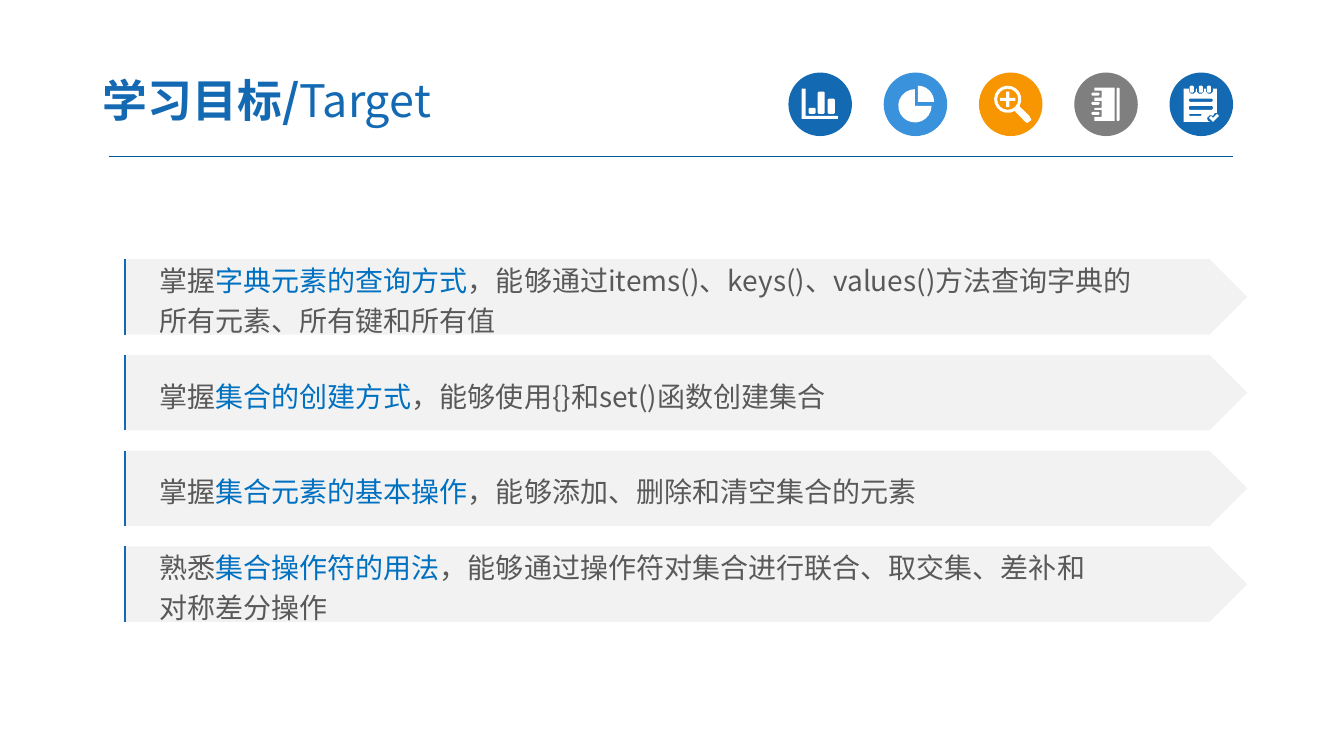
from math import cos, radians, sin

from lxml.etree import SubElement
from pptx import Presentation
from pptx.dml.color import RGBColor
from pptx.enum.shapes import MSO_CONNECTOR as Connector, MSO_SHAPE as Shape
from pptx.enum.text import MSO_ANCHOR as Anchor, MSO_AUTO_SIZE as AutoSize, PP_ALIGN as Align
from pptx.oxml.ns import qn
from pptx.util import Inches, Pt

BLUE = RGBColor(0x13, 0x69, 0xB2)
SKY = RGBColor(0x39, 0x92, 0xDB)
ORANGE = RGBColor(0xF7, 0x96, 0x00)
GREY = RGBColor(0x7F, 0x7F, 0x7F)
RULE = RGBColor(0x00, 0x5B, 0x9E)
PALE = RGBColor(0xF2, 0xF2, 0xF2)
TEXT = RGBColor(0x59, 0x59, 0x59)
ACCENT = RGBColor(0x00, 0x70, 0xC0)
WHITE = RGBColor(0xFF, 0xFF, 0xFF)


def box(x, y, width, height, cut=0.01):
    """Corner points of a rectangle with slightly cut corners."""
    right, bottom = x + width, y + height
    return [(x + cut, y), (right - cut, y), (right, y + cut), (right, bottom - cut),
            (right - cut, bottom), (x + cut, bottom), (x, bottom - cut), (x, y + cut)]


def arc(x, y, radius, start, end, steps=16):
    """Points on a circle around (x, y), clockwise from start to end in degrees."""
    angles = [radians(start + (end - start) * step / steps) for step in range(steps + 1)]
    return [(x + radius * cos(angle), y + radius * sin(angle)) for angle in angles]


# Glyph contours, in inches from the top left of the disc
BAR_CHART = [
    [(0.13, 0.16), (0.17, 0.16), (0.17, 0.43), (0.49, 0.43), (0.49, 0.46), (0.13, 0.46)],
    box(0.2, 0.35, 0.07, 0.06),
    box(0.29, 0.19, 0.07, 0.22),
    box(0.39, 0.26, 0.07, 0.15),
]
PIE_CHART = [
    [(0.34, 0.29), *arc(0.34, 0.29, 0.16, -90, 0, 6)],
    [(0.31, 0.33), *arc(0.31, 0.33, 0.165, 0, 270)],
]
MAGNIFIER = [
    [*arc(0.285, 0.265, 0.135, 59, 391),
     (0.5, 0.43), (0.52, 0.47), (0.48, 0.5), (0.46, 0.49)],
    arc(0.285, 0.265, 0.105, 360, 0),
    [(0.27, 0.19), (0.3, 0.19), (0.3, 0.25), (0.36, 0.25), (0.36, 0.28), (0.3, 0.28),
     (0.3, 0.34), (0.27, 0.34), (0.27, 0.28), (0.21, 0.28), (0.21, 0.25), (0.27, 0.25)],
]
NOTEBOOK_NOTCHES = [
    point for top in (0.37, 0.28, 0.18)
    for point in ((0.2, top + 0.07), (0.27, top + 0.07), (0.27, top), (0.2, top))]
NOTEBOOK = [
    [(0.4, 0.15), (0.4, 0.48), (0.2, 0.48), *NOTEBOOK_NOTCHES, (0.2, 0.15)],
    box(0.42, 0.15, 0.03, 0.33),
    *[box(0.17, top, 0.08, 0.03) for top in (0.2, 0.29, 0.39)],
]
NOTEPAD_NOTCHES = [
    point for left in (0.19, 0.27, 0.36)
    for point in ((left, 0.16), (left, 0.19), (left + 0.02, 0.21),
                  (left + 0.05, 0.21), (left + 0.07, 0.19), (left + 0.07, 0.16))]
NOTEPAD = [
    [(0.14, 0.16), *NOTEPAD_NOTCHES, (0.47, 0.16), (0.47, 0.4), (0.45, 0.4), (0.43, 0.43),
     (0.4, 0.42), (0.37, 0.45), (0.38, 0.48), (0.4, 0.49), (0.14, 0.49)],
    *[box(left, 0.13, 0.04, 0.07) for left in (0.2, 0.29, 0.37)],
    box(0.19, 0.26, 0.24, 0.03),
    box(0.19, 0.33, 0.24, 0.04),
    box(0.19, 0.41, 0.13, 0.02),
    [(0.39, 0.45), (0.41, 0.43), (0.43, 0.45), (0.47, 0.41), (0.49, 0.43), (0.43, 0.49)],
]

ICONS = [(BLUE, BAR_CHART), (SKY, PIE_CHART), (ORANGE, MAGNIFIER),
         (GREY, NOTEBOOK), (BLUE, NOTEPAD)]

# Each goal: lead, highlighted topic, rest, optional second line
GOALS = [
    ("掌握", "字典元素的查询方式", "，能够通过items()、keys()、values()方法查询字典的",
     "所有元素、所有键和所有值"),
    ("掌握", "集合的创建方式", "，能够使用{}和set()函数创建集合", None),
    ("掌握", "集合元素的基本操作", "，能够添加、删除和清空集合的元素", None),
    ("熟悉", "集合操作符的用法", "，能够通过操作符对集合进行联合、取交集、差补和", "对称差分操作"),
]


class SlideBuilder:
    font_name = "Noto Sans CJK SC"

    def __init__(self, presentation):
        self.slide = presentation.slides.add_slide(presentation.slide_layouts[5])

    def paint(self, shape, color):
        shape.shadow.inherit = False
        shape.fill.solid()
        shape.fill.fore_color.rgb = color
        shape.line.fill.background()

    def shape(self, shapes, kind, color, bounds):
        shape = shapes.add_shape(kind, *map(Inches, bounds))
        self.paint(shape, color)
        return shape

    def freeform(self, shapes, left, top, contours, close=True):
        contours = [[(Inches(left + x), Inches(top + y)) for x, y in contour]
                    for contour in contours]
        builder = shapes.build_freeform(*contours[0][0])
        for index, contour in enumerate(contours):
            if index:
                builder.move_to(*contour[0])
            builder.add_line_segments(contour[1:], close=close)
        return builder.convert_to_shape()

    def rule(self, start, end):
        line = self.slide.shapes.add_connector(
            Connector.STRAIGHT, *map(Inches, (*start, *end)))
        line.line.color.rgb = RULE
        line.line.width = Pt(0.75)
        SubElement(line._element.spPr, qn("a:effectLst"))

    def run(self, paragraph, text, color, size, bold=False):
        run = paragraph.add_run()
        run.text = text
        run.font.color.rgb = color
        font_format = {"name": self.font_name, "size": Pt(size), "bold": bold}
        for name, value in font_format.items():
            setattr(run.font, name, value)
        SubElement(run._r.get_or_add_rPr(), qn("a:ea")).set("typeface", self.font_name)

    def frame(self, shape, **margins):
        frame = shape.text_frame
        frame_format = {"word_wrap": True, "auto_size": AutoSize.NONE,
                        "vertical_anchor": Anchor.MIDDLE}
        frame_format.update({f"margin_{side}": Inches(size) for side, size in margins.items()})
        for name, value in frame_format.items():
            setattr(frame, name, value)
        frame.paragraphs[0].alignment = Align.LEFT
        return frame

    def title(self, bounds, bold_text, plain_text):
        title = self.slide.shapes.title
        for name, value in zip(("left", "top", "width", "height"), bounds):
            setattr(title, name, Inches(value))
        frame = self.frame(title, left=0.13, right=0.13, top=0.07, bottom=0.07)
        paragraph = frame.paragraphs[0]
        paragraph.space_before = Pt(0)
        self.run(paragraph, bold_text, BLUE, 32, bold=True)
        self.run(paragraph, plain_text, BLUE, 32)

    def icon(self, left, top, color, glyph):
        """Group a coloured disc with its white glyph."""
        shapes = self.slide.shapes.add_group_shape().shapes
        self.shape(shapes, Shape.OVAL, color, (left, top, 0.63, 0.63))
        self.paint(self.freeform(shapes, left, top, glyph), WHITE)

    def goal(self, top, lead, topic, rest, second_line):
        shapes = self.slide.shapes.add_group_shape().shapes
        plate = self.shape(shapes, Shape.PENTAGON, PALE, (1.23, top, 11.14, 0.75))
        frame = self.frame(plate, left=0.35)
        paragraph = frame.paragraphs[0]
        for text, color in ((lead, TEXT), (topic, ACCENT), (rest, TEXT)):
            self.run(paragraph, text, color, 20)
        if second_line:
            self.run(frame.add_paragraph(), second_line, TEXT, 20)
        for paragraph in frame.paragraphs:
            paragraph.alignment = Align.LEFT
            paragraph.line_spacing = 1.2
        edge = self.freeform(shapes, 1.24, top, [[(0, 0.75), (0, 0)]], close=False)
        edge.shadow.inherit = False
        edge.fill.background()
        edge.line.color.rgb = BLUE
        edge.line.width = Pt(1.5)
        edge.width = Inches(0.13)


def main():
    presentation = Presentation()
    presentation.slide_width = Inches(13.33)
    presentation.slide_height = Inches(7.5)
    builder = SlideBuilder(presentation)
    builder.rule((1.08, 1.55), (12.23, 1.55))
    icon_step = (11.6 - 7.82) / (len(ICONS) - 1)
    for index, icon in enumerate(ICONS):
        builder.icon(7.82 + icon_step * index, 0.72, *icon)
    builder.title((0.89, 0.63, 5.22, 0.72), "学习目标/", "Target")
    for index, goal in enumerate(GOALS):
        builder.goal(2.57 + 0.95 * index, *goal)
    presentation.save("out.pptx")


if __name__ == "__main__":
    main()
